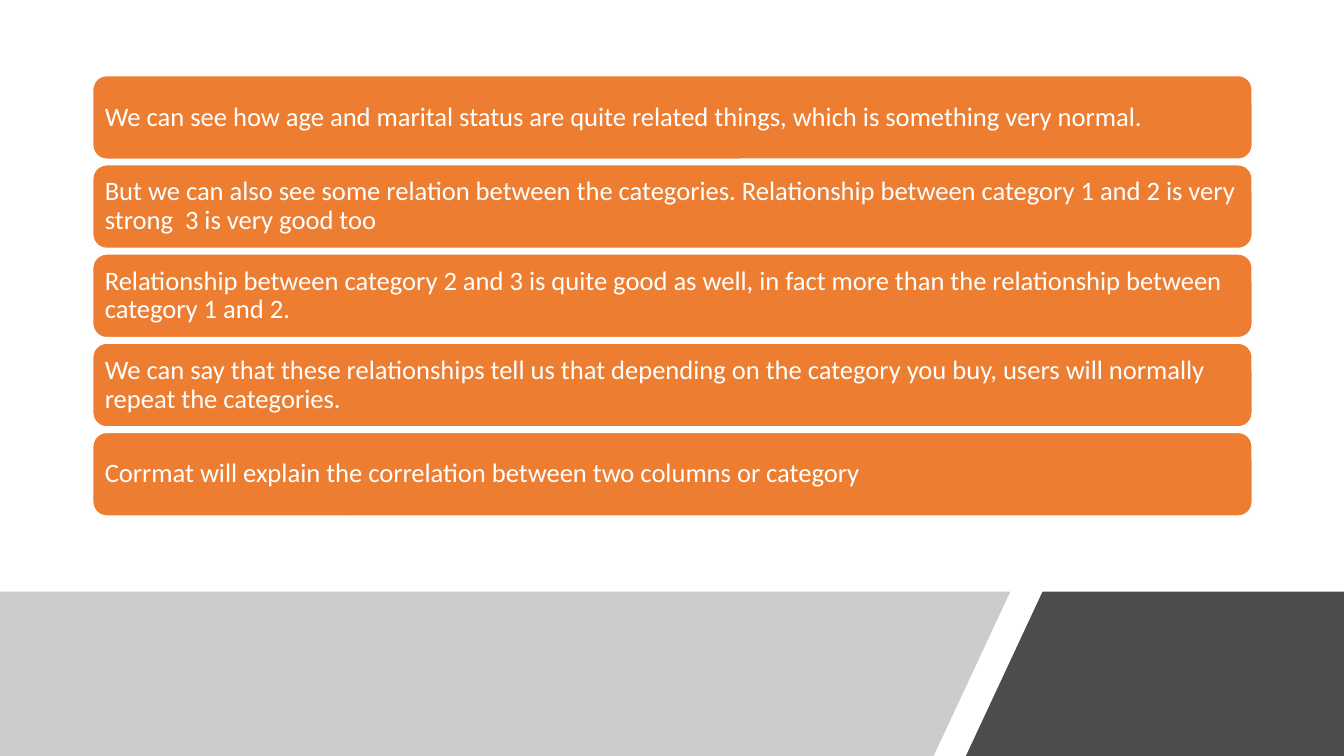
"""Build a slide of five stacked statements above a slanted footer band."""
from lxml.etree import SubElement
from pptx import Presentation
from pptx.dml.color import RGBColor
from pptx.enum.shapes import MSO_SHAPE
from pptx.enum.text import MSO_ANCHOR, PP_ALIGN
from pptx.oxml.ns import qn
from pptx.util import Inches, Pt

WIDTH, HEIGHT = 13.33, 7.5
ORANGE = RGBColor(0xED, 0x7D, 0x31)
WHITE = RGBColor(0xFF, 0xFF, 0xFF)
GRAY = RGBColor(0x80, 0x80, 0x80)
BLACK = RGBColor(0x00, 0x00, 0x00)

LEFT, TOP = 0.92, 0.75
BAR_WIDTH, BAR_HEIGHT, PITCH = 11.5, 0.83, 0.885
BAND_TOP = 5.87

STATEMENTS = [
    "We can see how age and marital status are quite related things, "
    "which is something very normal.",
    "But we can also see some relation between the categories. "
    "Relationship between category 1 and 2 is very strong  3 is very good too",
    "Relationship between category 2 and 3 is quite good as well, "
    "in fact more than the relationship between category 1 and 2.",
    "We can say that these relationships tell us that depending on the "
    "category you buy, users will normally repeat the categories.",
    "Corrmat will explain the correlation between two columns or category",
]


def add_band(slide, top_left, top_right, bottom_right, bottom_left, color, opacity):
    """Draw one translucent part of the footer band."""
    builder = slide.shapes.build_freeform(
        Inches(top_left), Inches(BAND_TOP), scale=1.0)
    builder.add_line_segments([
        (Inches(top_right), Inches(BAND_TOP)),
        (Inches(bottom_right), Inches(HEIGHT)),
        (Inches(bottom_left), Inches(HEIGHT)),
    ], close=True)
    sp = builder.convert_to_shape()
    sp.shadow.inherit = False
    sp.fill.solid()
    sp.fill.fore_color.rgb = color
    sp.line.fill.background()
    rgb = sp.fill._xPr.find(qn("a:solidFill")).find(qn("a:srgbClr"))
    SubElement(rgb, qn("a:alpha")).set("val", str(opacity * 1000))


def add_statement(slide, row, text):
    """Draw one rounded bar with its statement."""
    sp = slide.shapes.add_shape(
        MSO_SHAPE.ROUNDED_RECTANGLE, Inches(LEFT), Inches(TOP + row * PITCH),
        Inches(BAR_WIDTH), Inches(BAR_HEIGHT))
    sp.shadow.inherit = False
    sp.fill.solid()
    sp.fill.fore_color.rgb = ORANGE
    sp.line.color.rgb = WHITE
    sp.line.width = Pt(1)
    tf = sp.text_frame
    tf.word_wrap = True
    tf.vertical_anchor = MSO_ANCHOR.MIDDLE
    tf.margin_left = tf.margin_right = Inches(0.08)
    tf.margin_top = tf.margin_bottom = Inches(0.08)
    p = tf.paragraphs[0]
    p.alignment = PP_ALIGN.LEFT
    p.line_spacing = 0.9
    p.space_after = Pt(6.65)
    r = p.add_run()
    r.text = text
    r.font.name = "Calibri"
    r.font.size = Pt(19)
    r.font.color.rgb = WHITE


def main():
    """Build and save the slide."""
    prs = Presentation()
    prs.slide_width, prs.slide_height = Inches(WIDTH), Inches(HEIGHT)
    slide = prs.slides.add_slide(prs.slide_layouts[6])
    add_band(slide, 0, 10.02, 9.26, 0, GRAY, 40)
    add_band(slide, 10.34, WIDTH, WIDTH, 9.58, BLACK, 70)
    for row, text in enumerate(STATEMENTS):
        add_statement(slide, row, text)
    prs.save("out.pptx")


main()
